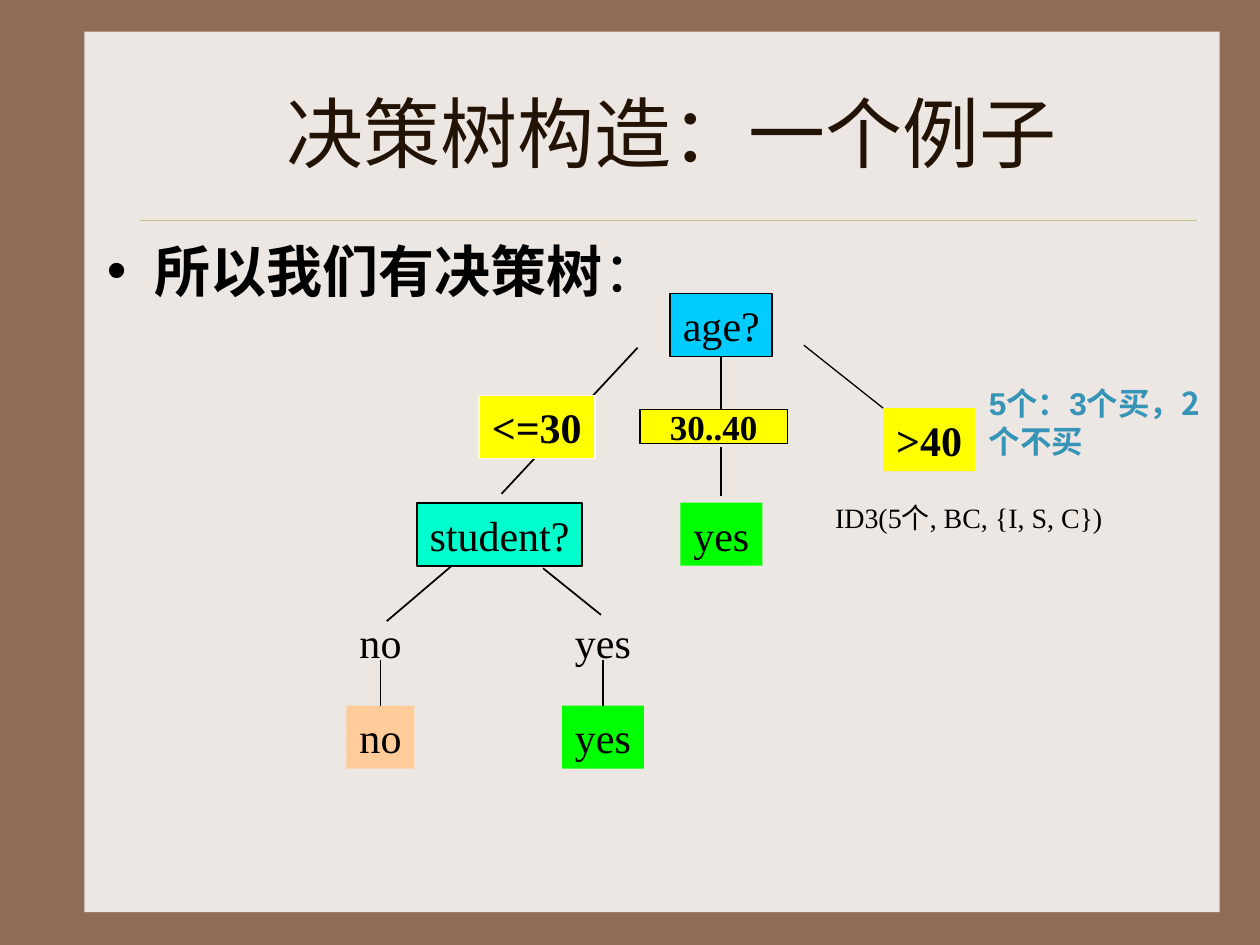
from pptx import Presentation
from pptx.dml.color import RGBColor
from pptx.enum.shapes import MSO_CONNECTOR, MSO_SHAPE
from pptx.enum.text import MSO_ANCHOR as ANCHOR, PP_ALIGN as ALIGN
from pptx.oxml.ns import qn
from pptx.util import Inches, Pt
from lxml.etree import SubElement

COLS, ROWS = 100, 75  # slide grid
CELL = Inches(10) / COLS
SERIF, CJK = "Times New Roman", "Noto Sans CJK SC"
BLACK, YELLOW, GREEN = "000000", "FFFF00", "00FF00"
TOP = 0  # connection site


def grid(*lengths):
    return [round(n * CELL) for n in lengths]


def rgb(value):
    return RGBColor.from_string(value)


def add_run(p, text, size, color=BLACK, name=SERIF, bold=False):
    r = p.add_run()
    r.text = text
    values = {"size": Pt(size), "name": name, "bold": bold}
    for key, value in values.items():
        setattr(r.font, key, value)
    r.font.color.rgb = rgb(color)
    SubElement(r.font._element, qn("a:ea")).set("typeface", CJK)


def add_box(s, box, fill=None, line=None):
    sp = s.shapes.add_shape(MSO_SHAPE.RECTANGLE, *grid(*box))
    sp.shadow.inherit = False
    if fill:
        sp.fill.solid()
        sp.fill.fore_color.rgb = rgb(fill)
    else:
        sp.fill.background()
    if line:
        sp.line.color.rgb = rgb(line)
        sp.line.width = Pt(1)
    else:
        sp.line.fill.background()
    return sp


def add_line(s, start, end, color=BLACK, width=1):
    cx = s.shapes.add_connector(MSO_CONNECTOR.STRAIGHT, *grid(*start, *end))
    cx.line.color.rgb = rgb(color)
    cx.line.width = Pt(width)
    SubElement(cx._element.spPr, qn("a:effectLst"))
    return cx


def format_text(sp, align=ALIGN.CENTER, anchor=ANCHOR.MIDDLE, wrap=False):
    tf = sp.text_frame
    values = {
        "word_wrap": wrap, "vertical_anchor": anchor,
        "margin_left": Inches(0.1), "margin_right": Inches(0.1),
        "margin_top": Inches(0.05), "margin_bottom": Inches(0.05),
    }
    for key, value in values.items():
        setattr(tf, key, value)
    p = tf.paragraphs[0]
    p.alignment = align
    return p


def add_text(s, box, **values):
    return format_text(s.shapes.add_textbox(*grid(*box)), **values)


def add_backdrop(s, box):
    s.background.fill.solid()
    s.background.fill.fore_color.rgb = rgb("906D58")
    add_box(s, box, "EDE7E3")
    x, y, w, h = box
    add_line(s, (x + 4.4, y + 15), (x + w - 1.8, y + 15), "CBBD83", 0.25)


def add_title(s, box):
    add_run(add_text(s, box, wrap=True), "决策树构造：一个例子", 44, "221304")


def add_bullet(s, box):
    p = add_text(s, box, align=ALIGN.LEFT, anchor=ANCHOR.TOP, wrap=True)
    pPr = p._p.get_or_add_pPr()
    indent = Inches(0.38)
    pPr.set("marL", str(indent))
    pPr.set("indent", str(-indent))
    color = SubElement(pPr, qn("a:buClr"))
    SubElement(color, qn("a:srgbClr")).set("val", BLACK)
    SubElement(pPr, qn("a:buFont")).set("typeface", "Arial")
    SubElement(pPr, qn("a:buChar")).set("char", "•")
    add_run(p, "所以我们有决策树", 32, bold=True)
    add_run(p, "：", 32)


def add_tree(s, box):
    left, top = box[:2]

    # Branches: start and end, relative to the tree
    branches = [
        ((23.1, 4.3), (12.3, 15.9)),
        ((29.7, 4.7), (29.7, 9.5)),
        ((29.7, 12.2), (29.7, 16.1)),
        ((8.6, 21.4), (3.2, 26)),
        ((15.6, 21.8), (20.2, 25.5)),
    ]
    for (x1, y1), (x2, y2) in branches:
        add_line(s, (left + x1, top + y1), (left + x2, top + y2))
    add_line(s, (left + 36.3, top + 4.1), (left + 42.6, top + 9.1), width=0.75)

    # Nodes: text, centre, row, width, height, fill, line, size, bold
    nodes = [
        ("age?", 29.75, 0, 8.1, 5, "00CCFF", BLACK, 24, False),
        ("<=30", 15.1, 8.1, 9.2, 5, YELLOW, "FEFDE3", 24, True),
        ("30..40", 29.15, 9.2, 11.7, 2.7, YELLOW, BLACK, 20, True),
        (">40", 46.25, 9.1, 7.3, 5, YELLOW, None, 24, True),
        ("student?", 12.15, 16.6, 13.1, 5, "00FFCC", BLACK, 24, False),
        ("yes", 29.75, 16.6, 6.5, 5, GREEN, None, 24, False),
    ]
    # Answers: a label with its leaf below
    answers = [("no", 2.7, 5.4, "FFCC99"), ("yes", 20.35, 6.5, GREEN)]
    for text, x, w, fill in answers:
        nodes.append((text, x, 25.1, w, 5, None, None, 24, False))
        nodes.append((text, x, 32.7, w, 5, fill, None, 24, False))

    placed = []
    for text, x, y, w, h, fill, line, size, bold in nodes:
        sp = add_box(s, (left + x - w / 2, top + y, w, h), fill, line)
        add_run(format_text(sp), text, size, bold=bold)
        placed.append(sp)

    # Stems that join each leaf
    for (text, x, w, fill), leaf in zip(answers, placed[-3::2]):
        stem = add_line(s, (left + x, top + 29.1), (left + x, top + 32.7))
        stem.end_connect(leaf, TOP)


def add_notes(s, box):
    x, y, w, h = box
    p = add_text(s, (x + 12.2, y, 18.8, 7), align=ALIGN.LEFT,
                 anchor=ANCHOR.TOP, wrap=True)
    p.line_spacing = Pt(21.6)
    add_run(p, "5个：3", 18, "3694B6", "Arial", True)
    add_run(p, "个买，2个不买", 18, "3694B6", CJK, True)
    p = add_text(s, (x, y + 9.2, 24.3, 3.7), align=ALIGN.LEFT)
    add_run(p, "ID3(5个, BC, {I, S, C})", 16)


def main():
    prs = Presentation()
    prs.slide_width, prs.slide_height = grid(COLS, ROWS)
    s = prs.slides.add_slide(prs.slide_layouts[6])
    add_backdrop(s, (6.7, 2.5, 90.1, 69.9))
    add_bullet(s, (7.5, 18.3, 85, 48.3))
    add_title(s, (11.7, 4.2, 83.3, 12.5))
    add_tree(s, (27.5, 23.3, 50, 37.7))
    add_notes(s, (65.3, 30, 31, 12.9))
    prs.save("out.pptx")


if __name__ == "__main__":
    main()
